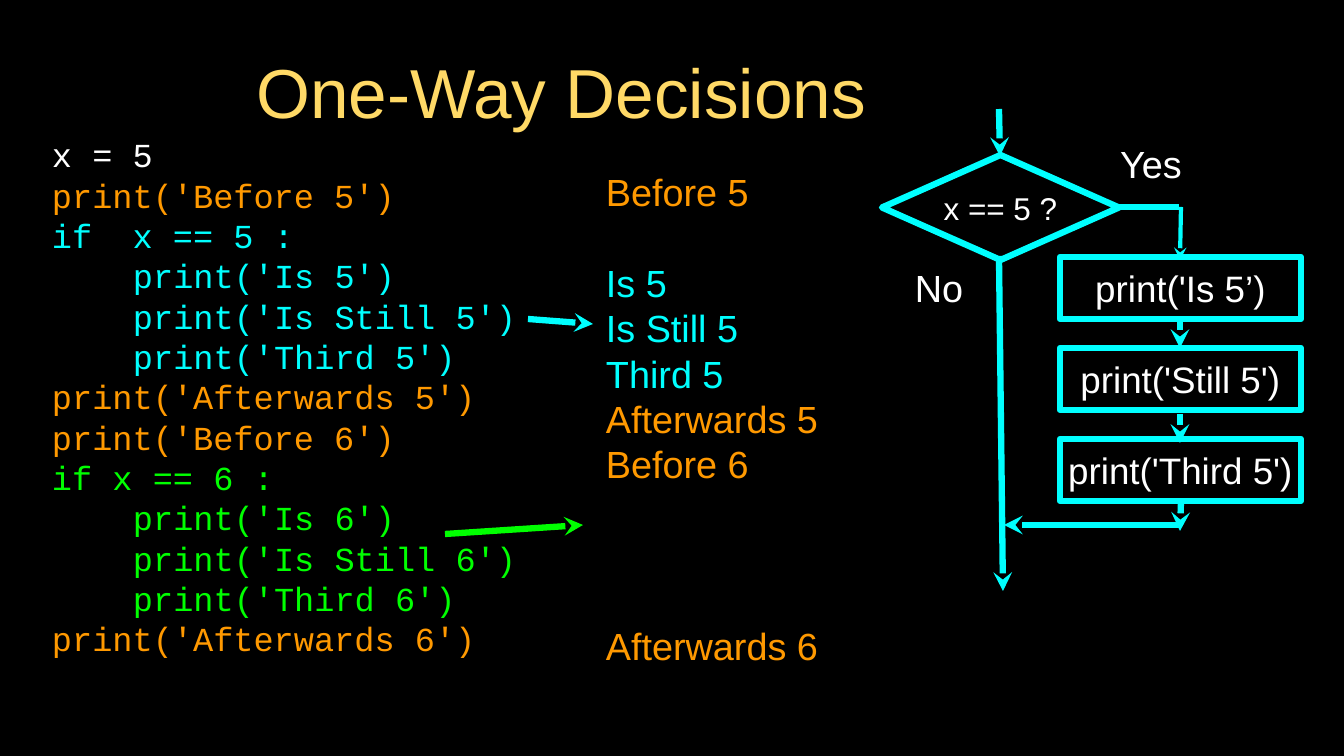
from dataclasses import dataclass

from lxml import etree
from pptx import Presentation
from pptx.dml.color import RGBColor
from pptx.enum import shapes, text
from pptx.oxml import ns
from pptx.util import Emu, Pt

SCALE = 914400 / 75.6
HUES = {
    "black": "000000", "white": "FFFFFF", "gold": "FFD966",
    "orange": "FF9900", "cyan": "00FFFF", "green": "00FF00",
}


@dataclass
class Line:
    words: str
    hue: str = "white"
    indent: int = 0
    gap: int = 0


@dataclass
class Arrow:
    start: tuple[int, int]
    end: tuple[int, int]
    hue: str = "cyan"
    width: int = 6
    head: bool = True


@dataclass
class Node:
    kind: shapes.MSO_SHAPE
    box: tuple[int, int, int, int]
    words: str
    size: int


def px(n: float) -> Emu:
    return Emu(round(n * SCALE))


def rgb(hue: str) -> RGBColor:
    return RGBColor.from_string(HUES[hue])


def write(shape, lines: list[Line], size: int, font: str = "Arial",
          center: bool = True, pitch: float = 0, wrap: bool = True) -> None:
    frame = shape.text_frame
    frame.word_wrap = wrap
    frame.vertical_anchor = text.MSO_ANCHOR.MIDDLE
    frame.margin_left = frame.margin_right = 0
    frame.margin_top = frame.margin_bottom = 0
    for i, line in enumerate(lines):
        para = frame.add_paragraph() if i else frame.paragraphs[0]
        para.alignment = text.PP_ALIGN.CENTER if center else text.PP_ALIGN.LEFT
        if pitch:
            para.line_spacing = Pt(pitch)
        if line.gap:
            para.space_before = Pt(line.gap * pitch)
        if line.indent:
            para._p.get_or_add_pPr().set("marL", str(px(line.indent)))
        run = para.add_run()
        run.text = line.words
        run.font.size = Pt(size)
        run.font.name = font
        run.font.color.rgb = rgb(line.hue)


def label(slide, box: tuple[int, int, int, int], lines: list[Line],
          size: int, **kind) -> None:
    write(slide.shapes.add_textbox(*map(px, box)), lines, size, **kind)


def draw(slide, arrow: Arrow) -> None:
    link = slide.shapes.add_connector(
        shapes.MSO_CONNECTOR.STRAIGHT, *map(px, arrow.start + arrow.end))
    link.line.color.rgb = rgb(arrow.hue)
    link.line.width = Pt(arrow.width)
    if arrow.head:
        tip = etree.SubElement(link.line._get_or_add_ln(), ns.qn("a:tailEnd"))
        tip.set("type", "stealth")
    etree.SubElement(link._element.spPr, ns.qn("a:effectLst"))


def place(slide, node: Node) -> None:
    shape = slide.shapes.add_shape(node.kind, *map(px, node.box))
    shape.shadow.inherit = False
    shape.fill.background()
    shape.line.color.rgb = rgb("cyan")
    shape.line.width = Pt(6)
    write(shape, [Line(node.words)], node.size, wrap=False)


def branch(num: int, hue: str) -> list[Line]:
    steps = [Line(f"print('{word} {num}')", hue, indent=81)
             for word in ("Is", "Is Still", "Third")]
    gap = "  " if num == 5 else " "
    return [Line(f"print('Before {num}')", "orange"),
            Line(f"if{gap}x == {num} :", hue), *steps,
            Line(f"print('Afterwards {num}')", "orange")]


CODE = [Line("x = 5"), *branch(5, "cyan"), *branch(6, "green")]
OUTPUT = [
    Line("Before 5", "orange"), Line("Is 5", "cyan", gap=1),
    Line("Is Still 5", "cyan"), Line("Third 5", "cyan"),
    Line("Afterwards 5", "orange"), Line("Before 6", "orange"),
    Line("Afterwards 6", "orange", gap=3),
]
STEPS = ["print('Is 5\u2019)", "print('Still 5')", "print('Third 5')"]
NODES = [Node(shapes.MSO_SHAPE.DIAMOND, (882, 155, 237, 105), "x == 5 ?", 30)]
NODES += [Node(shapes.MSO_SHAPE.RECTANGLE, (1060, 257 + 91 * i, 241, 62), words, 35)
          for i, words in enumerate(STEPS)]
ARROWS = [
    Arrow((528, 319), (593, 324)),
    Arrow((445, 534), (583, 525), "green"),
    Arrow((999, 109), (1000, 156)),
    Arrow((999, 256), (1003, 591)),
    Arrow((1119, 207), (1179, 207), head=False),
    Arrow((1181, 207), (1180, 260), width=4),
    Arrow((1181, 525), (1004, 525)),
    Arrow((1180, 319), (1180, 348)),
    Arrow((1180, 414), (1180, 443)),
    Arrow((1181, 502), (1180, 531)),
]

deck = Presentation()
deck.slide_width, deck.slide_height = px(1344), px(756)
slide = deck.slides.add_slide(deck.slide_layouts[6])
slide.background.fill.solid()
slide.background.fill.fore_color.rgb = rgb("black")

label(slide, (168, 47, 787, 88), [Line("One-Way Decisions", "gold")], 66)
label(slide, (52, 128, 473, 537), CODE, 32, font="Courier New",
      center=False, pitch=38.4)
label(slide, (606, 172, 234, 493), OUTPUT, 36, center=False, pitch=43.2)
for arrow in ARROWS:
    draw(slide, arrow)
for node in NODES:
    place(slide, node)
label(slide, (1105, 138, 92, 51), [Line("Yes")], 36)
label(slide, (909, 262, 60, 51), [Line("No")], 36)

deck.save("out.pptx")
